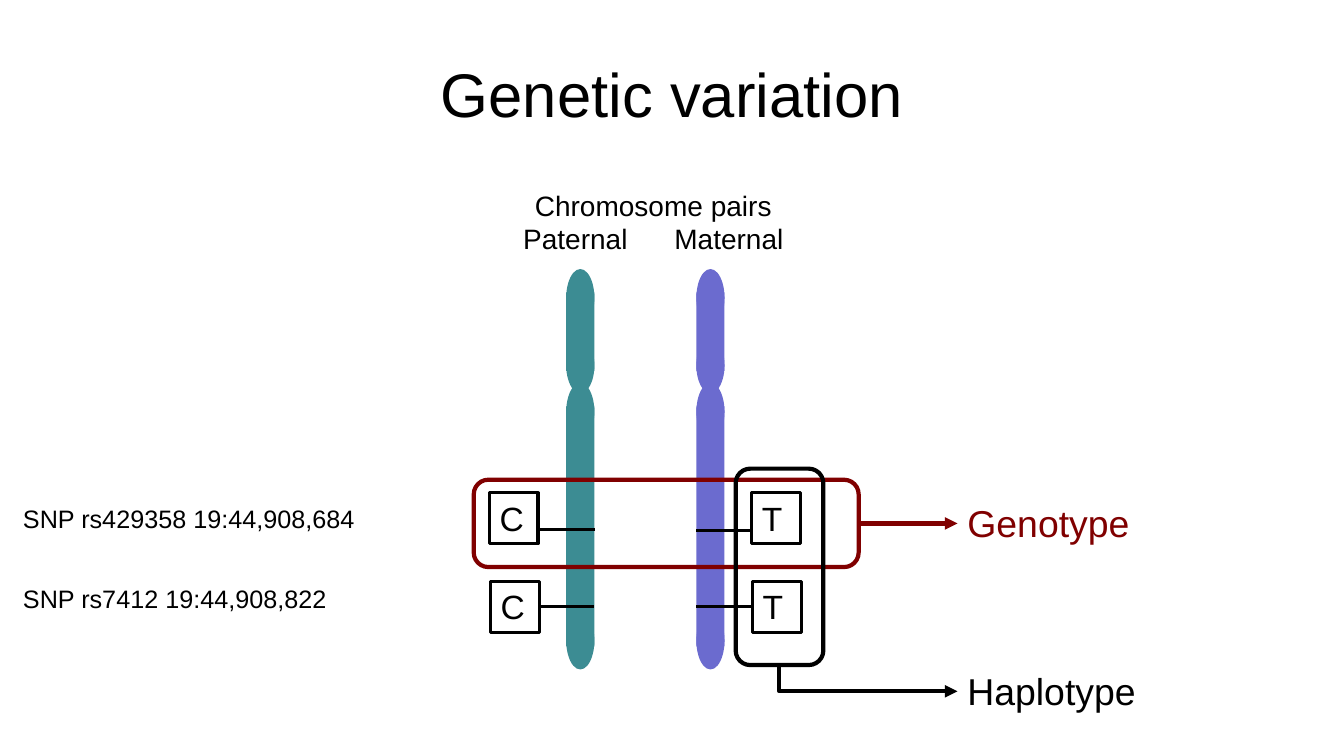
from dataclasses import dataclass
from lxml.etree import SubElement
from pptx import Presentation
from pptx.dml.color import RGBColor
from pptx.enum.shapes import MSO_CONNECTOR as Link, MSO_SHAPE as Shape
from pptx.enum.text import MSO_ANCHOR as Anchor, PP_ALIGN as Align
from pptx.oxml.ns import qn
from pptx.util import Cm, Pt


@dataclass(frozen=True)
class Theme:
    font: str = "Arial"
    black: str = "000000"
    red: str = "800000"
    teal: str = "3C8C93"
    violet: str = "6B6BCF"
    title: float = 44
    callout: float = 26.7
    allele: float = 24
    heading: float = 20
    label: float = 18
    thin: float = 2.25
    thick: float = 3


class Diagram:
    def __init__(self, slide, theme):
        self.shapes = slide.shapes
        self.theme = theme

    def fill_text(self, tf, text, size, color, align=Align.LEFT):
        tf.word_wrap = True
        tf.text = text
        p = tf.paragraphs[0]
        p.alignment = align
        p.font.name = self.theme.font
        p.font.size = Pt(size)
        p.font.color.rgb = RGBColor.from_string(color)

    def text(self, box, text, size, color=Theme.black, align=Align.LEFT, anchor=Anchor.TOP):
        tf = self.shapes.add_textbox(*map(Cm, box)).text_frame
        self.fill_text(tf, text, size, color, align)
        tf.vertical_anchor = anchor

    def solid(self, shapes, kind, box, color):
        s = shapes.add_shape(kind, *map(Cm, box))
        s.shadow.inherit = False
        s.fill.solid()
        s.fill.fore_color.rgb = RGBColor.from_string(color)
        s.line.fill.background()

    def outline(self, kind, box, color, width):
        s = self.shapes.add_shape(kind, *map(Cm, box))
        s.shadow.inherit = False
        s.fill.background()
        s.line.color.rgb = RGBColor.from_string(color)
        s.line.width = Pt(width)
        return s

    def allele(self, x, y, letter):
        s = self.outline(Shape.RECTANGLE, (x, y, 1.22, 1.28), self.theme.black, self.theme.thin)
        self.fill_text(s.text_frame, letter, self.theme.allele, self.theme.black)
        s.text_frame.vertical_anchor = Anchor.TOP
        return s

    def chromosome(self, x, color):
        group = self.shapes.add_group_shape()
        for kind, y, height in (
            (Shape.RECTANGLE, 10.24, 6.05),
            (Shape.RECTANGLE, 7.37, 1.98),
            (Shape.OVAL, 15.42, 1.45),
            (Shape.OVAL, 9.65, 1.45),
            (Shape.OVAL, 8.51, 1.4),
            (Shape.OVAL, 6.78, 1.45),
        ):
            self.solid(group.shapes, kind, (x, y, 0.71, height), color)

    def line(self, start, end, color, width, kind=Link.STRAIGHT, arrow=False):
        s = self.shapes.add_connector(kind, *map(Cm, start + end))
        s.line.color.rgb = RGBColor.from_string(color)
        s.line.width = Pt(width)
        pr = s.element.spPr
        if arrow:
            SubElement(pr.find(qn("a:ln")), qn("a:tailEnd"), type="triangle")
        SubElement(pr, qn("a:effectLst"))
        return s

    def corner_arrow(self, start, end, color, width):
        across, down = end[0] - start[0], end[1] - start[1]
        mid_x, mid_y = (start[0] + end[0]) / 2, (start[1] + end[1]) / 2
        s = self.line(
            (mid_x + down / 2, mid_y - across / 2),
            (mid_x - down / 2, mid_y + across / 2),
            color, width, Link.ELBOW, arrow=True,
        )
        pr = s.element.spPr
        pr.find(qn("a:xfrm")).set("rot", "16200000")
        pr.find(qn("a:prstGeom")).set("prst", "bentConnector2")


def main():
    prs = Presentation()
    prs.slide_width, prs.slide_height = Cm(33.87), Cm(19.05)
    t = Theme()
    d = Diagram(prs.slides.add_slide(prs.slide_layouts[6]), t)

    d.text((1.7, 0.76, 30.48, 3.18), "Genetic variation", t.title,
           align=Align.CENTER, anchor=Anchor.MIDDLE)
    d.text((12.17, 4.62, 8.59, 1.96), "Chromosome pairs\vPaternal\tMaternal", t.heading,
           align=Align.CENTER)
    for x, color in ((14.27, t.teal), (17.55, t.violet)):
        d.chromosome(x, color)

    d.allele(12.34, 12.42, "C")
    d.allele(18.95, 12.42, "T")
    d.line((14.99, 13.34), (13.61, 13.34), t.black, t.thin)
    d.line((18.92, 13.36), (17.55, 13.36), t.black, t.thin)

    paternal = d.allele(12.37, 14.65, "C")
    maternal = d.allele(18.97, 14.65, "T")
    for box, side, x in ((paternal, 3, 14.96), (maternal, 1, 17.55)):
        s = d.line((x, 15.29), (x, 15.29), t.black, t.thin)
        s.begin_connect(box, side)

    genotype = d.outline(Shape.ROUNDED_RECTANGLE, (11.94, 12.09, 9.7, 2.2), t.red, t.thick)
    d.outline(Shape.ROUNDED_RECTANGLE, (18.54, 11.81, 2.21, 4.95), t.black, t.thick)
    s = d.line((21.64, 13.19), (24.13, 13.19), t.red, t.thick, arrow=True)
    s.begin_connect(genotype, 3)
    d.corner_arrow((19.64, 16.76), (24.13, 17.42), t.black, t.thick)

    for y, snp in ((12.55, "SNP rs429358 19:44,908,684"), (14.58, "SNP rs7412 19:44,908,822")):
        d.text((0.33, y, 13, 1.02), snp, t.label)
    for y, name, color in ((12.47, "Genotype", t.red), (16.71, "Haplotype", t.black)):
        d.text((24.13, y, 7.19, 1.4), name, t.callout, color)

    prs.save("out.pptx")


if __name__ == "__main__":
    main()
